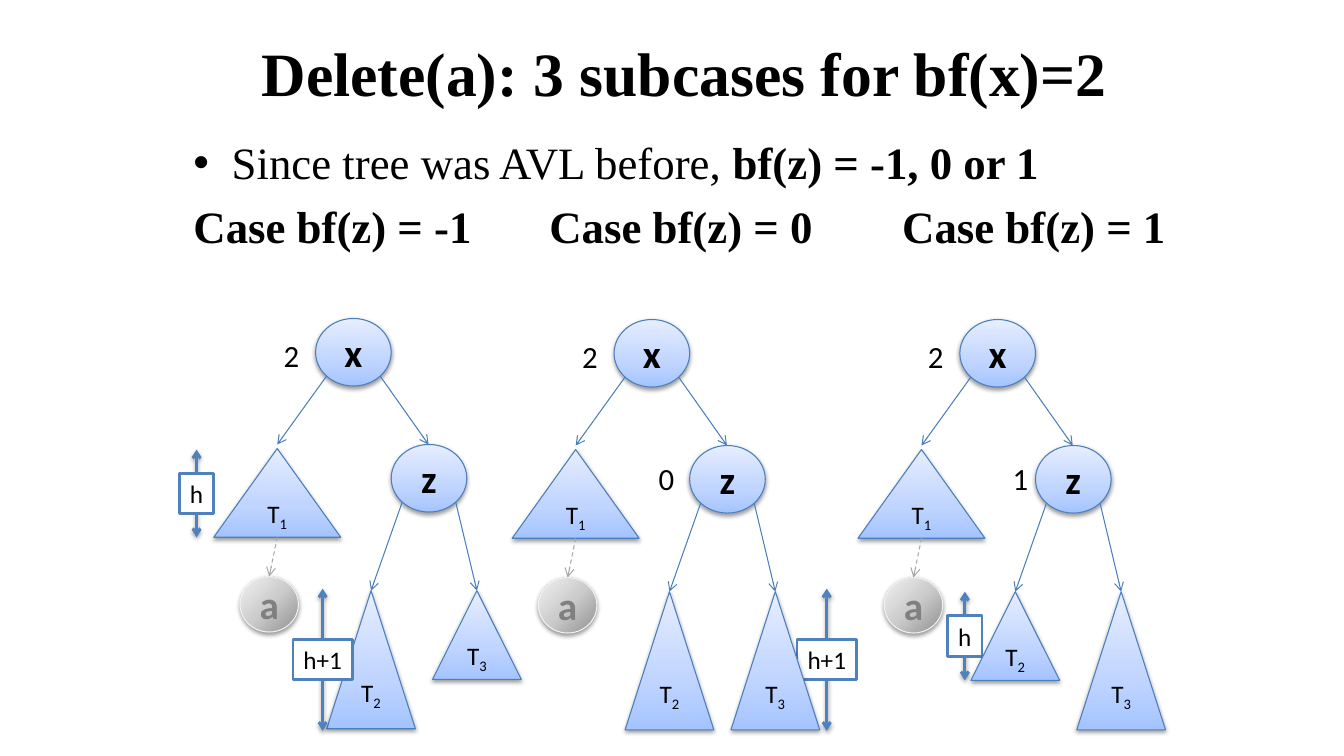
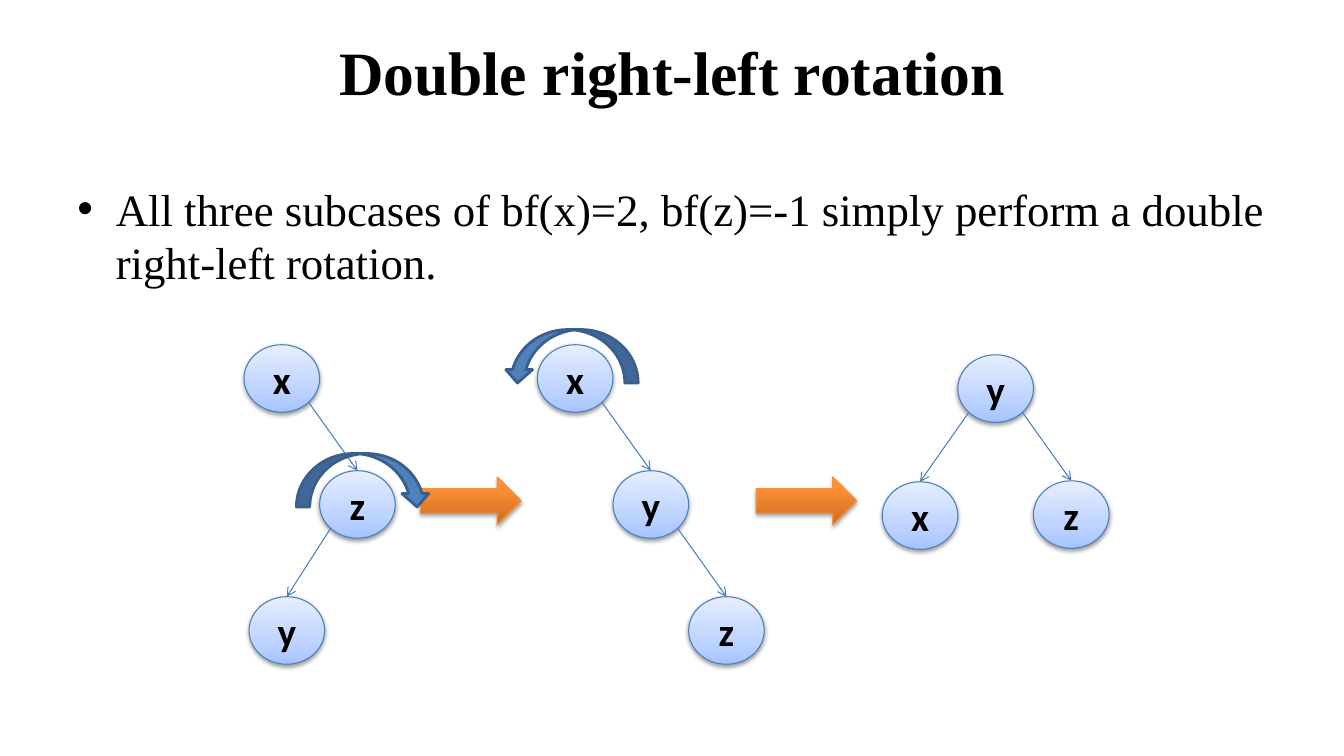
"""Build two slides on AVL tree deletion and double rotation."""
from lxml import etree
from pptx import Presentation
from pptx.dml.color import RGBColor
from pptx.enum.dml import MSO_LINE
from pptx.enum.shapes import MSO_CONNECTOR, MSO_SHAPE
from pptx.enum.text import MSO_ANCHOR, PP_ALIGN
from pptx.oxml.ns import qn
from pptx.util import Inches, Pt

OVAL, RECT = MSO_SHAPE.OVAL, MSO_SHAPE.RECTANGLE
TRI, ARROW = MSO_SHAPE.ISOSCELES_TRIANGLE, MSO_SHAPE.RIGHT_ARROW
CURVE = MSO_SHAPE.CURVED_DOWN_ARROW
DASH, STRAIGHT = MSO_LINE.DASH, MSO_CONNECTOR.STRAIGHT
LEFT, CENTER = PP_ALIGN.LEFT, PP_ALIGN.CENTER
TOP, MIDDLE = MSO_ANCHOR.TOP, MSO_ANCHOR.MIDDLE


class Theme:
    serif, sans = "Times New Roman", "Calibri"
    ink, white, dim = "000000", "FFFFFF", "808080"
    edge, bar, rim = "4B7EBC", "4F81BD", "3A5F8C"
    pale, ash, flame = "F2F2F2", "A6A6A6", "F69240"
    blue = 90, ((0, "A4C4FF"), (35, "BFD4FF"), (100, "E6EEFF"))
    gray = 135, ((0, "909090"), (50, "CCCCCC"), (100, "F2F2F2"))
    fire = 90, ((0, "CC6E20"), (80, "FF9034"), (100, "FF9136"))
    soft, firm = (38, 1.57), (35, 1.81)
    title, body, name, label, small = 44, 32, 28, 22, 18
    thin, thick = 0.75, 2
    gap = 7.4


NODE = 0.75, 0.67
TITLES = [("Delete(a): 3 subcases for bf(x)=2", 0.79, 0.09),
          ("Double right-left rotation", 0.67, 0.08)]
FACT = [("Since tree was AVL before, ", False), ("bf(z) = -1, 0 or 1", True)]
HEADS = [("Case bf(z) = -1\tCase bf(z) = 0\tCase bf(z) = 1", True)]
STOPS = [3.53, 7.03]
CLAIM = [("All three subcases of bf(x)=2, bf(z)=-1 simply perform "
          "a double right-left rotation.", False)]

TALL, SHORT = 1.37, 0.88
CASES = [
    (3.13, 3.16, "", 0, TALL, SHORT),
    (6.09, 3.17, "0", 0.34, TALL, TALL),
    (9.52, 3.17, "1", 0.42, SHORT, TALL),
]
BACK = [(8.2, 5.84, 7.25, "h+1", 0.59), (9.57, 5.87, 6.75, "h", 0.34)]
FRONT = [(3.2, 5.84, 7.25, "h+1", 0.59), (1.95, 4.46, 5.33, "h", 0.34)]

STAGES = [
    ({"x": (2.42, 3.42), "z": (3.17, 4.67), "y": (2.47, 5.92)}, ["xz", "zy"]),
    ({"x": (5.33, 3.42), "y": (6.08, 4.67), "z": (6.83, 5.92)}, ["xy", "yz"]),
    ({"y": (9.5, 3.52), "z": (10.25, 4.77), "x": (8.75, 4.78)}, ["yz", "yx"]),
]
STEPS = [4.17, 7.5]
TURNS = [(2.94, 4.5, False), (5, 3.27, True)]


def rgb(color):
    return RGBColor.from_string(color)


def sub(node, tag, **attrs):
    return etree.SubElement(node, qn("a:" + tag), attrs)


def shade(item, look=None):
    box = sub(item._element.spPr, "effectLst")
    if look:
        alpha, dist = look
        drop = sub(box, "outerShdw", blurRad=str(Pt(3.15)), dist=str(Pt(dist)),
                   dir="5400000", rotWithShape="0")
        tint = sub(drop, "srgbClr", val=Theme.ink)
        sub(tint, "alpha", val=str(alpha * 1000))


def paint(shape, fill):
    if isinstance(fill, str):
        shape.fill.solid()
        shape.fill.fore_color.rgb = rgb(fill)
        return
    angle, stops = fill
    shape.fill.gradient()
    shape.fill.gradient_angle = angle
    ramp = shape._element.spPr.find(qn("a:gradFill")).find(qn("a:gsLst"))
    for old in list(ramp):
        ramp.remove(old)
    for pos, color in stops:
        sub(sub(ramp, "gs", pos=str(pos * 1000)), "srgbClr", val=color)


def style(para, size, face=Theme.sans, color=Theme.ink, bold=False):
    font = para.font
    font.size, font.name, font.bold = Pt(size), face, bold
    font.color.rgb = rgb(color)


def shape(slide, kind, at, fill, line, width=Theme.thin, look=Theme.soft):
    item = slide.shapes.add_shape(kind, *map(Inches, at))
    paint(item, fill)
    item.line.color.rgb = rgb(line)
    item.line.width = Pt(width)
    shade(item, look)
    return item


def write(item, text, size, wrap=False, anchor=MIDDLE, **font):
    frame = item.text_frame
    frame.word_wrap, frame.vertical_anchor = wrap, anchor
    para = frame.paragraphs[0]
    para.alignment = CENTER
    para.add_run().text = text
    style(para, size, **font)
    return para


def note(slide, text, at, size, **font):
    write(slide.shapes.add_textbox(*map(Inches, at)), text, size, **font)


def title(slide, text, left, top):
    note(slide, text, (left, top, 12, 1.25), Theme.title, wrap=True,
         face=Theme.serif, bold=True)


def body(slide, at, paras):
    frame = slide.shapes.add_textbox(*map(Inches, at)).text_frame
    frame.word_wrap, frame.vertical_anchor = True, TOP
    for i, (runs, stops) in enumerate(paras):
        para = frame.add_paragraph() if i else frame.paragraphs[0]
        para.alignment, para.space_before = LEFT, Pt(Theme.gap)
        props = para._p.get_or_add_pPr()
        if stops:
            tabs = sub(props, "tabLst")
            for stop in stops:
                sub(tabs, "tab", pos=str(Inches(stop)), algn="l")
        else:
            props.set("marL", str(Inches(0.38)))
            props.set("indent", str(-Inches(0.38)))
            sub(props, "buFont", typeface="Arial")
            sub(props, "buChar", char="•")
        style(para, Theme.body, Theme.serif)
        for text, bold in runs:
            run = para.add_run()
            run.text, run.font.bold = text, bold


def line(slide, start, end, color=Theme.edge, width=Theme.thin,
         both=False, dash=None, look=None):
    item = slide.shapes.add_connector(STRAIGHT, *map(Inches, start + end))
    item.line.color.rgb = rgb(color)
    item.line.width = Pt(width)
    if dash:
        item.line.dash_style = dash
    pen = item.line._get_or_add_ln()
    if both:
        sub(pen, "headEnd", type="arrow")
    sub(pen, "tailEnd", type="arrow")
    shade(item, look)


def node(slide, text, x, y):
    item = shape(slide, OVAL, (x, y, *NODE), Theme.blue, Theme.edge)
    write(item, text, Theme.name, bold=True)


def link(slide, x, y, tip):
    wide, high = NODE
    side = 0.11 if tip[0] < x + wide / 2 else wide - 0.11
    line(slide, (x + side, y + high - 0.1), tip)


def leaf(slide, digit, x, y, wide, high):
    item = shape(slide, TRI, (x, y, wide, high), Theme.blue, Theme.edge)
    para = write(item, "T", Theme.small)
    run = para.add_run()
    run.text = digit
    run._r.get_or_add_rPr().set("baseline", "-25000")


def measure(slide, x, top, end, text, wide):
    line(slide, (x, top), (x, end), Theme.bar, Theme.thick, True,
         look=Theme.soft)
    at = x - wide / 2, (top + end) / 2 - 0.2, wide, 0.4
    box = shape(slide, RECT, at, Theme.white, Theme.bar, Theme.thick, None)
    write(box, text, Theme.small)


def tree(slide, x, y, mark, shift, left, right):
    zx, zy, low = x + 0.75, y + 1.25, y + 2.7
    node(slide, "x", x, y)
    leaf(slide, "2", x + 0.11, low, 0.88, left)
    leaf(slide, "1", x - 1.01, y + 1.29, 1.26, 0.88)
    node(slide, "z", zx, zy)
    for text, lx, ly in (("2", x - 0.42, y + 0.13), (mark, x + shift, y + 1.34)):
        if text:
            note(slide, text, (lx, ly, 0.36, 0.47), Theme.label)
    for tip in (x - 0.38, x + 1.12):
        link(slide, x, y, (tip, zy))
    leaf(slide, "3", x + 1.16, low, 0.88, right)
    for tip in (x + 0.55, x + 1.6):
        link(slide, zx, zy, (tip, low))
    gone = shape(slide, OVAL, (x - 0.75, y + 2.56, 0.58, 0.55),
                 Theme.gray, Theme.pale)
    write(gone, "a", Theme.name, color=Theme.dim, bold=True)
    line(slide, (x - 0.38, y + 2.17), (x - 0.46, y + 2.56), Theme.ash, dash=DASH)


def cases(slide):
    title(slide, *TITLES[0])
    body(slide, (1.82, 1.29, 10.85, 1.58), [(FACT, None), (HEADS, STOPS)])
    for item in BACK:
        measure(slide, *item)
    for case in CASES:
        tree(slide, *case)
    for item in FRONT:
        measure(slide, *item)


def rotation(slide):
    title(slide, *TITLES[1])
    body(slide, (0.67, 1.75, 12, 4.95), [(CLAIM, None)])
    for nodes, links in STAGES:
        for name, (x, y) in nodes.items():
            node(slide, name, x, y)
        for top, low in links:
            x, y = nodes[low]
            link(slide, *nodes[top], (x + NODE[0] / 2, y))
    for x in STEPS:
        shape(slide, ARROW, (x, 4.73, 1, 0.48), Theme.fire, Theme.flame,
              look=Theme.firm)
    for x, y, flip in TURNS:
        turn = shape(slide, CURVE, (x, y, 1.33, 0.53), Theme.bar, Theme.rim,
                     Theme.thick, None)
        if flip:
            turn._element.spPr.find(qn("a:xfrm")).set("flipH", "1")


def main():
    deck = Presentation()
    deck.slide_width, deck.slide_height = Inches(13.33), Inches(7.5)
    for draw in (cases, rotation):
        draw(deck.slides.add_slide(deck.slide_layouts[6]))
    deck.save("out.pptx")


if __name__ == "__main__":
    main()
